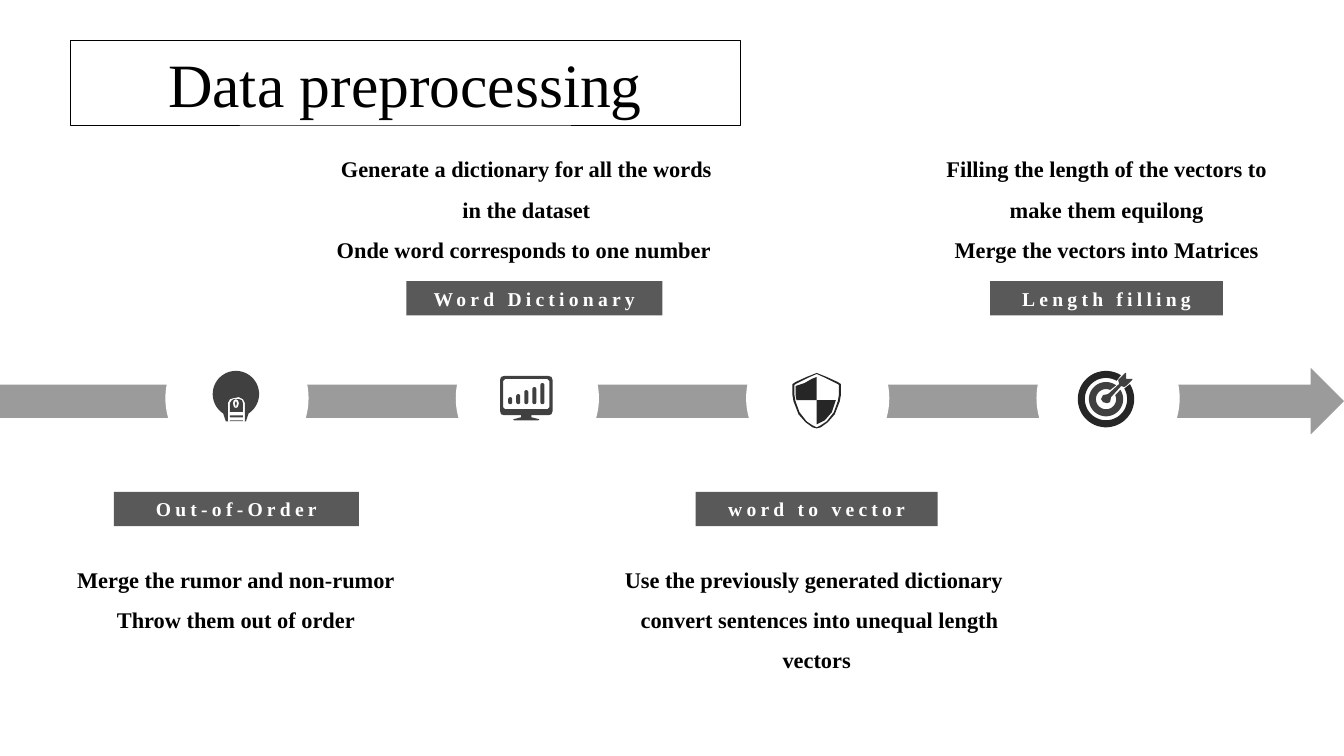
import math

import pptx
import pptx.dml.color
import pptx.enum.shapes
import pptx.enum.text
import pptx.oxml
import pptx.oxml.ns
import pptx.util

Inches = pptx.util.Inches
Pt = pptx.util.Pt
RGBColor = pptx.dml.color.RGBColor
Shape = pptx.enum.shapes.MSO_SHAPE
Anchor = pptx.enum.text.MSO_ANCHOR

BLACK = RGBColor(0x00, 0x00, 0x00)
WHITE = RGBColor(0xFF, 0xFF, 0xFF)
GREY = RGBColor(0x59, 0x59, 0x59)
CHARCOAL = RGBColor(0x40, 0x40, 0x40)
INK = RGBColor(0x26, 0x26, 0x26)

# Label: left, top, width, text
LABELS = [
    (1.13, 4.88, 2.43, "Out-of-Order"),
    (4.03, 2.79, 2.54, "Word Dictionary"),
    (6.9, 4.88, 2.4, "word to vector"),
    (9.82, 2.79, 2.31, "Length filling"),
]

# Description: left, top, width, height, text (\v breaks the line)
DESCRIPTIONS = [
    (0.51, 5.43, 3.66, 0.91,
     "Merge the rumor and non-rumor\vThrow them out of order"),
    (3.18, 1.36, 4.08, 1.31,
     "Generate a dictionary for all the words in the dataset"
     "\vOnde word corresponds to one number "),
    (5.91, 5.43, 4.38, 0.91,
     "Use the previously generated dictionary "
     "\v convert sentences into unequal length vectors"),
    (9.03, 1.36, 3.89, 1.31,
     "Filling the length of the vectors to make them equilong"
     "\vMerge the vectors into Matrices"),
]


def arc(center, radius, start, end, steps=48):
    """Points along a circle, angles in degrees, clockwise from the right."""
    angles = [math.radians(start + (end - start) * i / steps) for i in range(steps + 1)]
    return [(center[0] + radius * math.cos(a), center[1] + radius * math.sin(a))
            for a in angles]


def mirror(axis, half):
    """Closed symmetric outline from (offset, y) points of its right half."""
    right = [(axis + offset, y) for offset, y in half]
    return right + [(axis - offset, y) for offset, y in reversed(half[1:-1])]


class SlideBuilder:
    font = "Times New Roman"

    def __init__(self, deck):
        self.page = deck.slides.add_slide(deck.slide_layouts[5])

    def set_text(self, box, text, size, color, bold=False):
        frame = box.text_frame
        frame.text = text
        frame.word_wrap = True
        frame.auto_size = pptx.enum.text.MSO_AUTO_SIZE.SHAPE_TO_FIT_TEXT
        para = frame.paragraphs[0]
        para.alignment = pptx.enum.text.PP_ALIGN.CENTER
        para.font.name = self.font
        para.font.size = Pt(size)
        para.font.bold = bold
        para.font.color.rgb = color
        return para

    def paint(self, shape, color):
        shape.shadow.inherit = False
        shape.fill.solid()
        shape.fill.fore_color.rgb = color
        shape.line.fill.background()
        return shape

    def title(self, left, top, width, height, text):
        box = self.page.shapes.title
        box.left, box.top = Inches(left), Inches(top)
        box.width, box.height = Inches(width), Inches(height)
        box.line.color.rgb = BLACK
        box.line.width = Pt(0.25)
        self.set_text(box, text, 44, BLACK)
        box.text_frame.vertical_anchor = Anchor.MIDDLE

    def preset(self, kind, left, top, width, height, color):
        shape = self.page.shapes.add_shape(
            kind, Inches(left), Inches(top), Inches(width), Inches(height))
        return self.paint(shape, color)

    def arrow(self, left, top, width, height, color, opacity):
        shape = self.preset(Shape.RIGHT_ARROW, left, top, width, height, color)
        tint = shape._element.spPr.find(".//" + pptx.oxml.ns.qn("a:srgbClr"))
        alpha = pptx.oxml.parse_xml(
            f'<a:alpha {pptx.oxml.ns.nsdecls("a")} val="{opacity * 1000}"/>')
        tint.append(alpha)

    def outline(self, color, *contours):
        """Filled freeform; a contour inside another cuts a hole."""
        contours = [[(Inches(x), Inches(y)) for x, y in points] for points in contours]
        builder = self.page.shapes.build_freeform(*contours[0][0])
        builder.add_line_segments(contours[0][1:], close=True)
        for points in contours[1:]:
            builder.move_to(*points[0])
            builder.add_line_segments(points[1:], close=True)
        self.paint(builder.convert_to_shape(), color)

    def label(self, left, top, width, text):
        box = self.preset(Shape.RECTANGLE, left, top, width, 0.34, GREY)
        para = self.set_text(box, text, 14, WHITE, bold=True)
        box.text_frame.vertical_anchor = Anchor.MIDDLE
        para.runs[0]._r.get_or_add_rPr().set("spc", "300")

    def description(self, left, top, width, height, text):
        box = self.page.shapes.add_textbox(
            Inches(left), Inches(top), Inches(width), Inches(height))
        para = self.set_text(box, text, 16, BLACK, bold=True)
        para.line_spacing = 1.5

    def bulb(self):
        axis = 2.34
        self.outline(
            CHARCOAL,
            arc((axis, 3.91), 0.23, 123, 417) + [(2.44, 4.18), (2.24, 4.18)],
            [(2.26, 4.18), (2.26, 4), (2.28, 3.96), (2.32, 3.95),
             (2.37, 3.94), (2.41, 3.96), (2.43, 4), (2.43, 4.18)],
            [(2.28, 4.18), (2.28, 4), (2.3, 3.97), (2.32, 3.96),
             (2.37, 3.96), (2.4, 3.97), (2.41, 4), (2.41, 4.18)],
            mirror(axis, [(0, 3.96), (0.02, 3.97), (0.03, 4), (0.02, 4.04), (0, 4.05)]),
            mirror(axis, [(0, 3.98), (0.01, 4), (0, 4.04)]))
        for top in (4.09, 4.14, 4.18):
            self.preset(Shape.ROUNDED_RECTANGLE, 2.27, top, 0.15, 0.03, WHITE)

    def monitor(self):
        axis = 5.22
        self.outline(
            CHARCOAL,
            mirror(axis, [(0, 3.73), (0.22, 3.73), (0.25, 3.74), (0.26, 3.77),
                          (0.26, 4.08), (0.25, 4.11), (0.22, 4.12), (0.05, 4.12),
                          (0.05, 4.14), (0.13, 4.16), (0.12, 4.17), (0, 4.17)]),
            mirror(axis, [(0, 3.76), (0.21, 3.76), (0.23, 3.78),
                          (0.23, 4.04), (0.21, 4.06), (0, 4.06)]))
        for i, height in enumerate((0.07, 0.1, 0.14, 0.17, 0.21)):
            bar = self.preset(Shape.ROUNDED_RECTANGLE, 5.04 + 0.08 * i,
                              4.01 - height, 0.04, height, CHARCOAL)
            bar.adjustments[0] = 0.5

    def shield(self):
        axis = 8.1
        self.outline(
            INK,
            mirror(axis, [(0, 3.7), (0.1, 3.74), (0.21, 3.79), (0.24, 3.81),
                          (0.24, 3.92), (0.23, 3.98), (0.18, 4.11), (0.11, 4.19),
                          (0.04, 4.24), (0, 4.25)]),
            mirror(axis, [(0, 3.71), (0.09, 3.75), (0.21, 3.81), (0.22, 3.82),
                          (0.22, 3.92), (0.21, 3.98), (0.17, 4.09), (0.1, 4.18),
                          (0.04, 4.22), (0, 4.24)]))
        self.outline(INK, [(axis, 3.74), (8.05, 3.76), (7.98, 3.8), (7.89, 3.83),
                           (7.89, 3.92), (7.9, 3.97), (axis, 3.97)])
        self.outline(INK, [(axis, 3.97), (8.29, 3.97), (8.25, 4.09),
                           (8.18, 4.17), (axis, 4.21)])

    def target(self):
        center = (10.97, 3.96)
        self.outline(INK, arc(center, 0.28, -32, 302) + arc(center, 0.21, 300, -30))
        self.outline(CHARCOAL, [
            (11.1, 3.76), (11.16, 3.7), (11.17, 3.7), (11.17, 3.76), (11.23, 3.76),
            (11.23, 3.77), (11.17, 3.83), (11.15, 3.84), (11.12, 3.83), (11.02, 3.94),
            (11.01, 3.99), (10.98, 4), (10.94, 3.99), (10.92, 3.96), (10.94, 3.92),
            (10.99, 3.91), (11.1, 3.81), (11.09, 3.77)])
        self.outline(CHARCOAL,
                     arc(center, 0.17, -33, 306) + arc(center, 0.1, 294, -24))


def main():
    deck = pptx.Presentation()
    deck.slide_width, deck.slide_height = Inches(13.33), Inches(7.5)
    slide = SlideBuilder(deck)
    slide.title(0.7, 0.4, 6.64, 0.84, "Data preprocessing")
    slide.arrow(0, 3.65, 13.33, 0.66, GREY, opacity=60)
    for i, icon in enumerate((slide.bulb, slide.monitor, slide.shield, slide.target)):
        slide.preset(Shape.OVAL, 1.64 + 2.88 * i, 3.24, 1.42, 1.42, WHITE)
        icon()
    for label in LABELS:
        slide.label(*label)
    for description in DESCRIPTIONS:
        slide.description(*description)
    deck.save("out.pptx")


if __name__ == "__main__":
    main()
